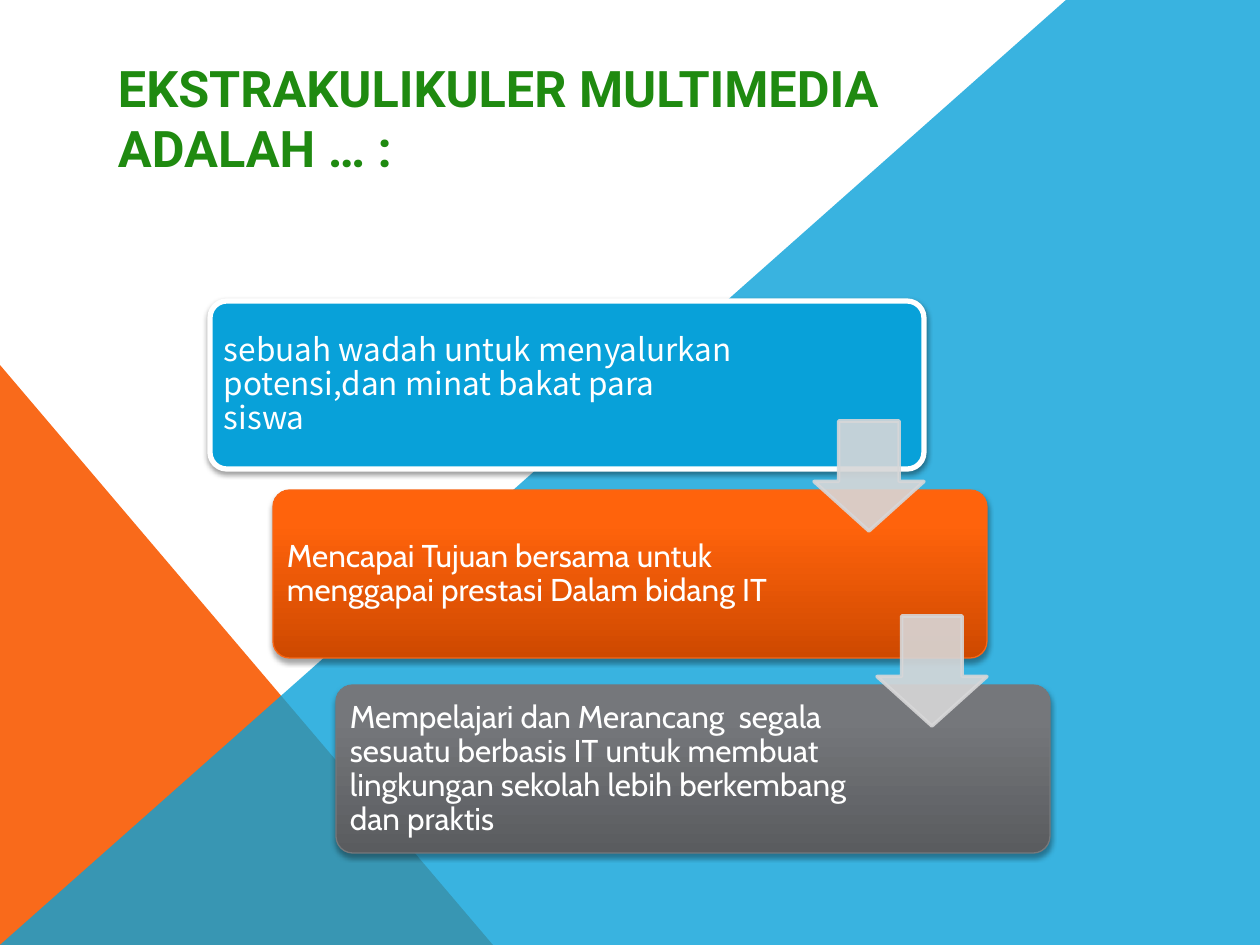
from lxml.etree import SubElement
from pptx import Presentation
from pptx.dml.color import RGBColor
from pptx.enum.shapes import MSO_SHAPE as Kind
from pptx.enum.text import MSO_ANCHOR as Anchor
from pptx.oxml.ns import qn
from pptx.util import Pt

PX = 914400 / 126

WHITE = RGBColor(0xFF, 0xFF, 0xFF)
BLACK = RGBColor(0x00, 0x00, 0x00)
GREEN = RGBColor(0x1F, 0x8A, 0x10)
BLUE = RGBColor(0x08, 0xA1, 0xD9)
ORANGE = RGBColor(0xF9, 0x6A, 0x1B)
SILVER = RGBColor(0xD7, 0xD7, 0xD8)
RUST = RGBColor(0xCE, 0x49, 0x00)
FLAME = RGBColor(0xFF, 0x63, 0x0C)
RIM = RGBColor(0xF9, 0x66, 0x15)
COAL = RGBColor(0x5A, 0x5C, 0x5F)
GREY = RGBColor(0x75, 0x77, 0x7B)
EDGE = RGBColor(0x76, 0x78, 0x7B)

WIDE, HIGH = 1260, 945
TITLE = "EKSTRAKULIKULER MULTIMEDIA\vADALAH … :"
SWEEP = [(0, HIGH), (1066, 0), (WIDE, 0), (WIDE, HIGH)]

# text, font, top, fill (one colour, or bottom and top), line, line width, shadow %
STEPS = [
    ("sebuah wadah untuk menyalurkan potensi,dan minat bakat para siswa",
     "Noto Sans CJK SC", 301, (BLUE,), WHITE, 3, 38),
    ("Mencapai Tujuan bersama untuk menggapai prestasi Dalam bidang IT",
     "Cabin", 490, (RUST, FLAME), RIM, 0.75, 35),
    ("Mempelajari dan Merancang  segala sesuatu berbasis IT untuk membuat "
     "lingkungan sekolah lebih berkembang dan praktis",
     "Cabin", 685, (COAL, GREY), EDGE, 0.75, 35),
]
LEFT, SHIFT = 210, 63
CARD_W, CARD_H = 714, 168
PAD, TEXT_W = 5, 532
ARROWS = [421, 616]
ARROW = 110


def px(*nums):
    return [round(n * PX) for n in nums]


def fade(fill, pct):
    """Make a solid fill pct percent opaque."""
    tint = fill._xPr.find(qn("a:solidFill"))[0]
    SubElement(tint, qn("a:alpha"), val=str(pct * 1000))


def paint(shape, color, pct=100):
    shape.shadow.inherit = False
    shape.fill.solid()
    shape.fill.fore_color.rgb = color
    if pct < 100:
        fade(shape.fill, pct)


def outline(shape, color, width):
    shape.line.color.rgb = color
    shape.line.width = Pt(width)


def drop(shape, pct):
    """Cast a soft black shadow straight down."""
    box = shape._element.spPr.find(qn("a:effectLst"))
    cast = SubElement(box, qn("a:outerShdw"), blurRad=str(Pt(3.1)),
                      dist=str(Pt(1.7)), dir="5400000", rotWithShape="0")
    tint = SubElement(cast, qn("a:srgbClr"), val=str(BLACK))
    SubElement(tint, qn("a:alpha"), val=str(pct * 1000))


def write(shapes, at, text, font, size, color, anchor, pad):
    frame = shapes.add_textbox(*px(*at)).text_frame
    frame.word_wrap = True
    frame.vertical_anchor = anchor
    side, edge = px(*pad)
    frame.margin_left = frame.margin_right = side
    frame.margin_top = frame.margin_bottom = edge
    para = frame.paragraphs[0]
    para.text = text
    para.font.name, para.font.size = font, Pt(size)
    para.font.color.rgb = color
    return para


def draw_back(shapes):
    wedge = shapes.add_shape(Kind.RIGHT_TRIANGLE, *px(0, 365, 493, 580))
    paint(wedge, ORANGE)
    wedge.line.fill.background()
    pen = shapes.build_freeform(*SWEEP[0], scale=PX)
    pen.add_line_segments(SWEEP[1:], close=True)
    sweep = pen.convert_to_shape()
    paint(sweep, BLUE, 80)
    sweep.line.fill.background()


def draw_step(shapes, left, step):
    text, font, top, tones, line, width, shade = step
    card = shapes.add_shape(Kind.ROUNDED_RECTANGLE,
                            *px(left, top, CARD_W, CARD_H))
    card.adjustments[0] = 0.1
    paint(card, tones[0])
    if len(tones) > 1:
        card.fill.gradient()
        card.fill.gradient_angle = 90
        for stop, tone, pos in zip(card.fill.gradient_stops, tones, (0, 0.8)):
            stop.color.rgb = tone
            stop.position = pos
    outline(card, line, width)
    drop(card, shade)
    at = (left + PAD, top + PAD, TEXT_W, CARD_H - 2 * PAD)
    para = write(shapes, at, text, font, 18, WHITE, Anchor.MIDDLE, (9, 9))
    para.line_spacing = 0.9


def draw_arrow(shapes, left, top):
    arrow = shapes.add_shape(Kind.DOWN_ARROW, *px(left, top, ARROW, ARROW))
    arrow.adjustments[0], arrow.adjustments[1] = 0.55, 0.45
    paint(arrow, SILVER, 90)
    outline(arrow, SILVER, 2)
    fade(arrow.line.fill, 90)


def main():
    deck = Presentation()
    deck.slide_width, deck.slide_height = px(WIDE, HIGH)
    shapes = deck.slides.add_slide(deck.slide_layouts[6]).shapes
    draw_back(shapes)
    title = write(shapes, (105, 57, 1071, 120), TITLE, "Roboto", 28.8,
                  GREEN, Anchor.TOP, (13, 0))
    title.font.bold = True
    for i, step in enumerate(STEPS):
        draw_step(shapes, LEFT + i * SHIFT, step)
    for i, top in enumerate(ARROWS):
        draw_arrow(shapes, LEFT + CARD_W - ARROW + i * SHIFT, top)
    deck.save("out.pptx")


if __name__ == "__main__":
    main()
